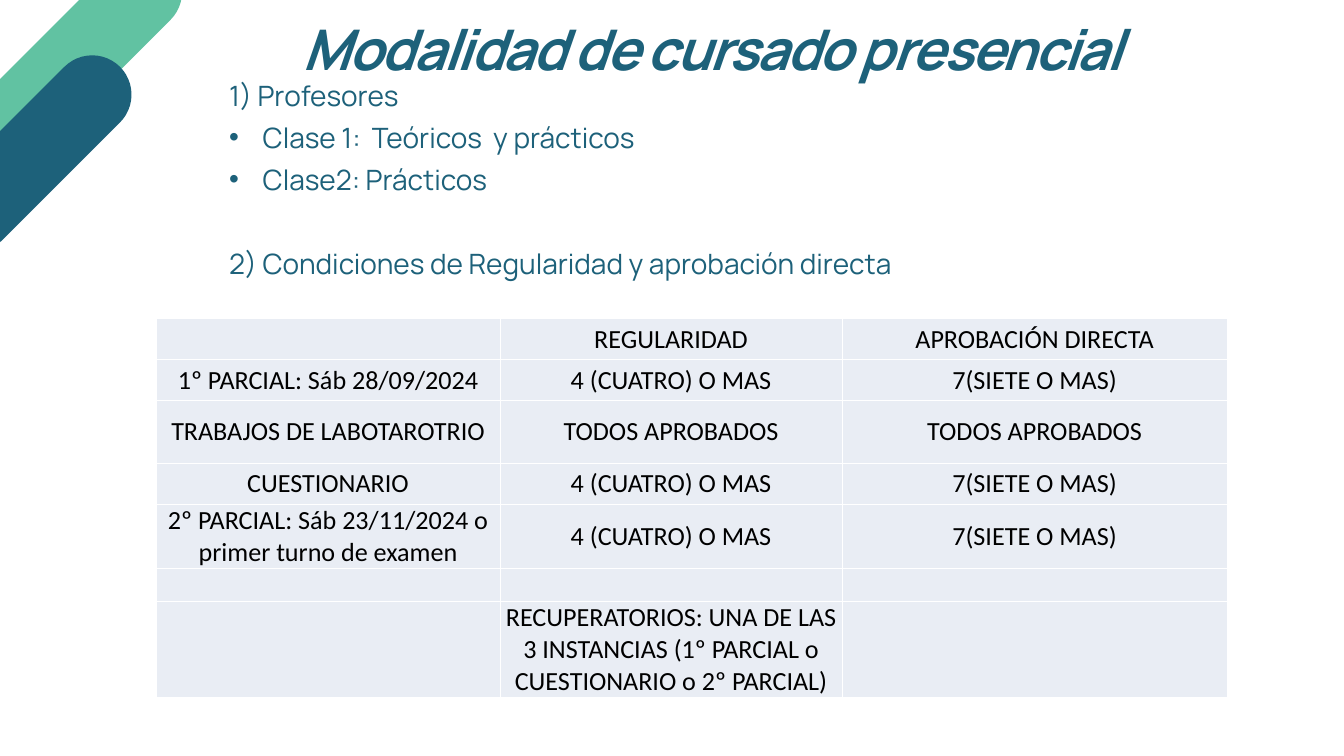
from lxml import etree
from pptx import Presentation
from pptx.dml.color import RGBColor
from pptx.enum import shapes, text
from pptx.oxml import ns
from pptx.util import Inches, Pt

BLUE, GREEN, PALE, BLACK = "1D617A", "61C2A2", "E9EDF4", "000000"
FOUR, SEVEN, DONE = "4 (CUATRO) O MAS", "7(SIETE O MAS)", "TODOS APROBADOS"
ROWS = [
    ("", "REGULARIDAD", "APROBACIÓN DIRECTA"),
    ("1º PARCIAL: Sáb 28/09/2024", FOUR, SEVEN),
    ("TRABAJOS DE LABOTAROTRIO", DONE, DONE),
    ("CUESTIONARIO", FOUR, SEVEN),
    ("2º PARCIAL: Sáb 23/11/2024 o primer turno de examen", FOUR, SEVEN),
    ("", "", ""),
    ("", "RECUPERATORIOS: UNA DE LAS 3 INSTANCIAS "
         "(1º PARCIAL o CUESTIONARIO o 2º PARCIAL)", ""),
]
WIDTHS = (5.12, 5.09, 5.73)
HEIGHTS = (0.61, 0.61, 0.93, 0.61, 0.94, 0.47, 1.4)
# Text, bulleted, space before in points
LINES = [
    ("1) Profesores", False, 0),
    ("Clase 1:  Teóricos  y prácticos", True, 0),
    ("Clase2: Prácticos", True, 0),
    ("2) Condiciones de Regularidad y aprobación directa", False, 45),
]


def color(code):
    return RGBColor.from_string(code)


def style(par, font, size, code, align):
    par.font.name, par.font.size = font, Pt(size)
    par.font.color.rgb = color(code)
    par.alignment = align


def place(holder, box):
    """Move a placeholder and clear its margins."""
    holder.left, holder.top, holder.width, holder.height = map(Inches, box)
    frame = holder.text_frame
    frame.margin_left = frame.margin_right = 0
    frame.margin_top = frame.margin_bottom = 0
    frame.vertical_anchor = text.MSO_ANCHOR.TOP
    frame.auto_size = text.MSO_AUTO_SIZE.NONE
    frame.word_wrap = True
    return frame


def pill(slide, box, code):
    """Add a diagonal bar with round ends."""
    bar = slide.shapes.add_shape(
        shapes.MSO_SHAPE.ROUNDED_RECTANGLE, *map(Inches, box))
    bar.adjustments[0] = 0.5
    bar.rotation = 315
    bar.shadow.inherit = False
    bar.fill.solid()
    bar.fill.fore_color.rgb = color(code)
    bar.line.fill.background()


def title(slide, box):
    par = place(slide.shapes.title, box).paragraphs[0]
    par.text = "Modalidad de cursado presencial"
    style(par, "Manrope", 60, BLUE, text.PP_ALIGN.CENTER)
    par.font.bold = par.font.italic = True
    par.line_spacing = Pt(88)
    par.runs[0].font.bold = par.runs[0].font.italic = True
    par.runs[0]._r.get_or_add_rPr().set("spc", "-240")


def points(slide, box):
    frame = place(slide.placeholders[1], box)
    for i, (line, dot, gap) in enumerate(LINES):
        par = frame.add_paragraph() if i else frame.paragraphs[0]
        par.text = line
        style(par, "Manrope", 30, BLUE, text.PP_ALIGN.JUSTIFY)
        par.line_spacing, par.space_before = Pt(45), Pt(gap)
        # Hanging bullet or flush line
        props = par._p.get_or_add_pPr()
        indent = Inches(0.5) if dot else 0
        props.set("marL", str(indent))
        props.set("indent", str(-indent))
        mark = etree.Element(ns.qn("a:buChar" if dot else "a:buNone"))
        if dot:
            mark.set("char", "•")
        props.find(ns.qn("a:defRPr")).addprevious(mark)


def grades(slide, box):
    table = slide.shapes.add_table(
        len(ROWS), len(WIDTHS), *map(Inches, box)).table
    table.first_row = table.horz_banding = False
    for col, width in zip(table.columns, WIDTHS):
        col.width = Inches(width)
    for row, height, words in zip(table.rows, HEIGHTS, ROWS):
        row.height = Inches(height)
        for cell, word in zip(row.cells, words):
            cell.fill.solid()
            cell.fill.fore_color.rgb = color(PALE)
            cell.margin_left = cell.margin_right = Inches(0.01)
            cell.margin_top, cell.margin_bottom = Inches(0.01), 0
            cell.vertical_anchor = text.MSO_ANCHOR.MIDDLE
            cell.text = word
            style(cell.text_frame.paragraphs[0], "Calibri", 28, BLACK,
                  text.PP_ALIGN.CENTER)
            for run in cell.text_frame.paragraphs[0].runs:
                run.font.size = Pt(28)
    table.cell(len(ROWS) - 1, 1).vertical_anchor = text.MSO_ANCHOR.BOTTOM


def main():
    deck = Presentation()
    deck.slide_width, deck.slide_height = Inches(20), Inches(11.25)
    slide = deck.slides.add_slide(deck.slide_layouts[1])
    points(slide, (3.41, 1.04, 15.95, 3.75))
    title(slide, (2.19, 0, 16.83, 1.23))
    # Corner bars
    pill(slide, (-1.32, 0.48, 4.52, 1.17), GREEN)
    pill(slide, (-1.33, 1.7, 3.65, 1.17), BLUE)
    grades(slide, (2.32, 4.74, sum(WIDTHS), sum(HEIGHTS)))
    deck.save("out.pptx")


if __name__ == "__main__":
    main()
